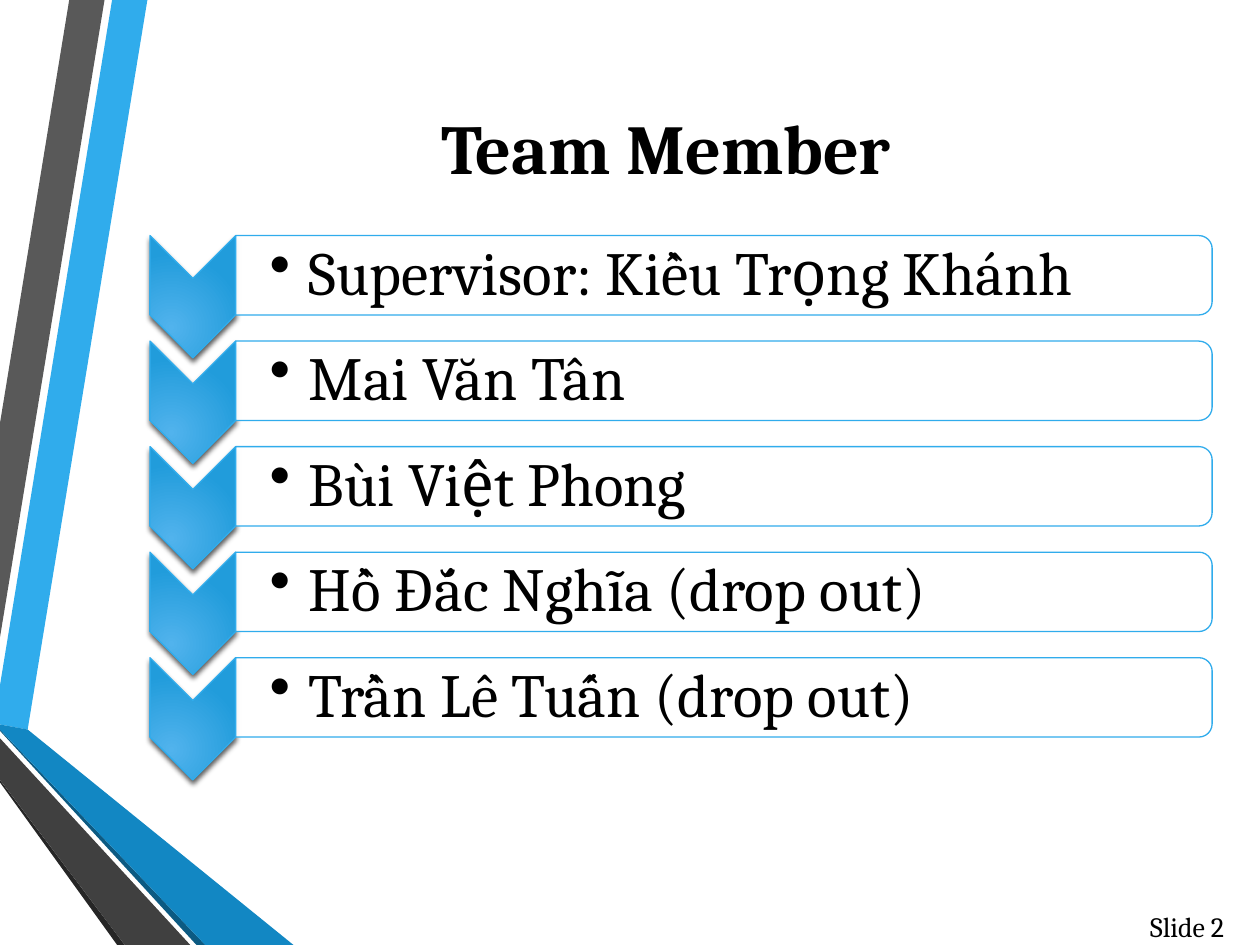
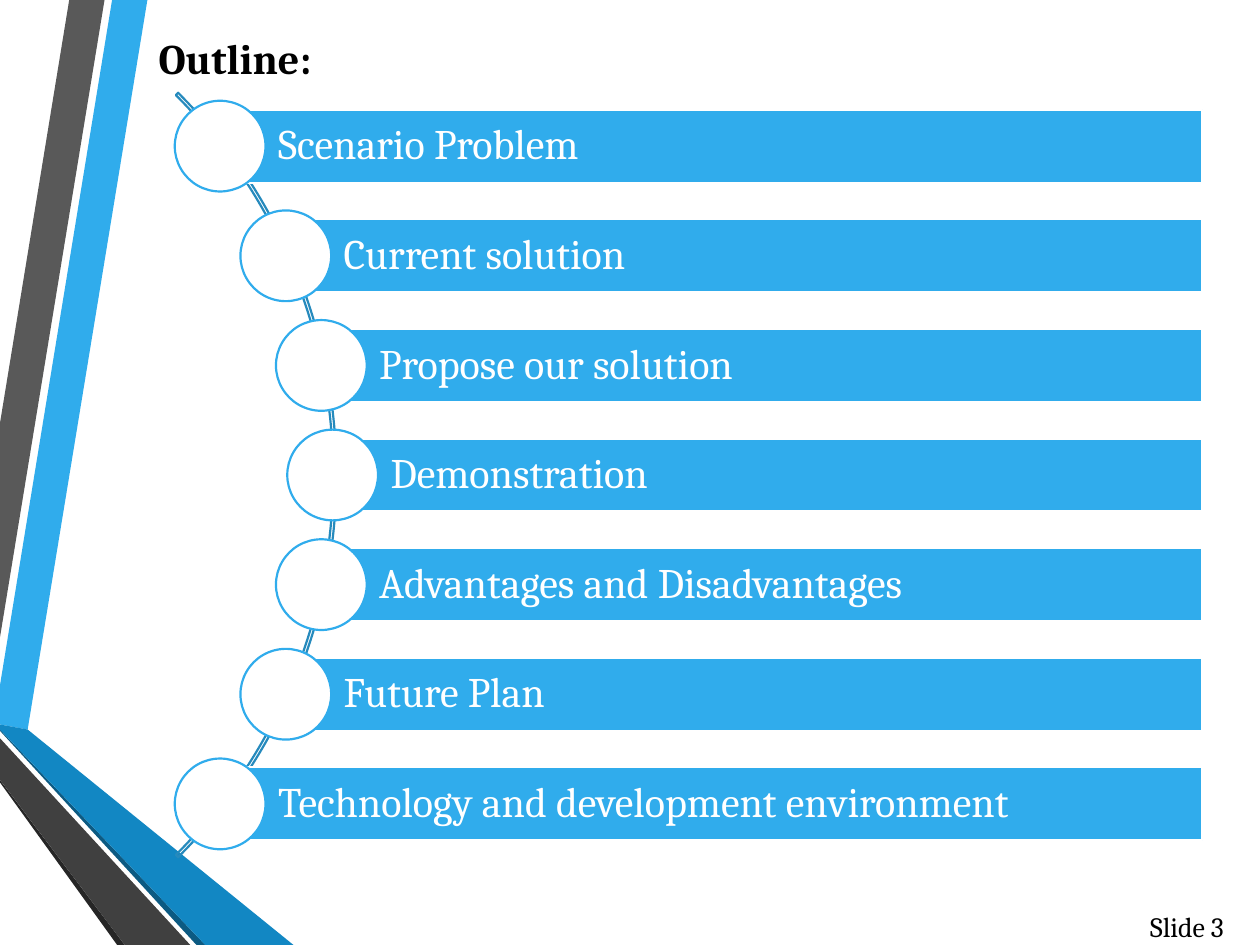
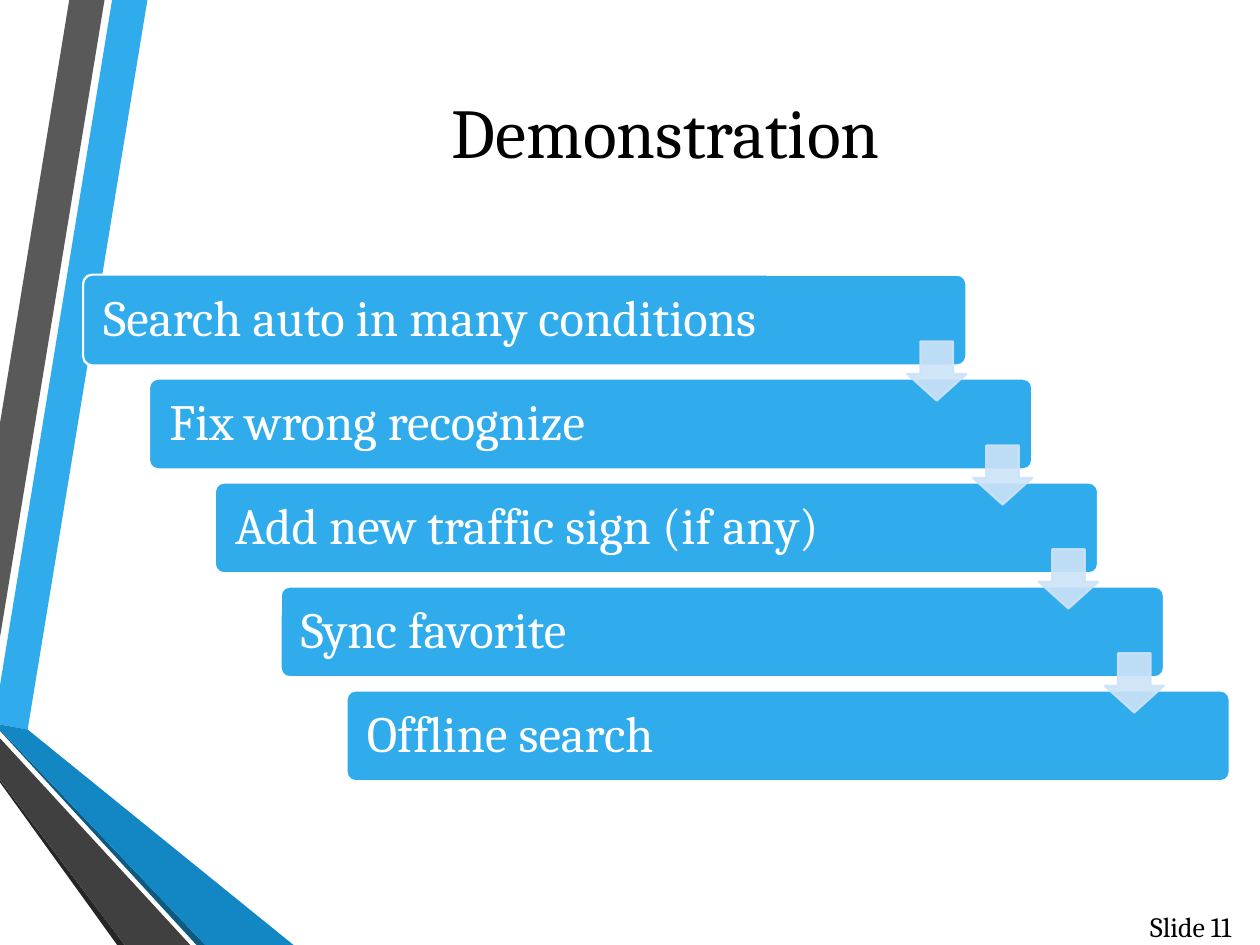
from math import sqrt

from lxml import etree
from pptx import Presentation
from pptx import util as u
from pptx.dml import color
from pptx.enum import shapes, text
from pptx.oxml import ns

FONT = "Cambria"
BLACK, WHITE = "000000", "FFFFFF"
BLUE, DEEP_BLUE, PALE_BLUE = "30ACEC", "268ABD", "CDE3F8"
CHEVRON_GRADIENT = ("51B3ED", "219CDB")

RIBBONS = [
    (BLUE, [(0, 5.44), (0, 5.75), (0.22, 5.79), (1.17, 0), (0.89, 0)]),
    ("595959", [(0.83, 0), (0.55, 0), (0, 3.36), (0, 5.06)]),
    ("262626", [(0, 6.19), (0, 6.21), (0.93, 7.5), (0.99, 7.5)]),
    ("0C5A82", [(0, 5.79), (0, 5.8), (1.56, 7.5), (1.63, 7.5)]),
    ("1287C3", [(0, 5.79), (1.63, 7.5), (2.33, 7.5), (0.22, 5.79), (0, 5.75)]),
    ("404040", [(0, 6.19), (0.99, 7.5), (1.51, 7.5), (0, 5.86)]),
]
MEMBERS = [
    "Supervisor: Kiều Trọng Khánh",
    "Mai Văn Tân",
    "Bùi Việt Phong",
    "Hồ Đắc Nghĩa (drop out)",
    "Trần Lê Tuấn (drop out)",
]
TOPICS = [
    "Scenario Problem",
    "Current solution",
    "Propose our solution",
    "Demonstration",
    "Advantages and Disadvantages",
    "Future Plan",
    "Technology and development environment",
]
DEMO_STEPS = [
    "Search auto in many conditions",
    "Fix wrong recognize",
    "Add new traffic sign (if any)",
    "Sync favorite",
    "Offline search",
]


def rgb(value):
    return color.RGBColor.from_string(value)


def add_xml(parent, tag, **attributes):
    return etree.SubElement(parent, ns.qn(tag), {key: str(value) for key, value in attributes.items()})


class Deck:
    def __init__(self):
        self.presentation = Presentation()
        self.presentation.slide_width = u.Inches(10)
        self.presentation.slide_height = u.Inches(7.5)
        self.slide = None

    def start_slide(self, number):
        self.slide = self.presentation.slides.add_slide(self.presentation.slide_layouts[6])
        for fill, points in RIBBONS:
            self.ribbon(fill, points)
        self.label(f"Slide {number}", (9.03, 7.15, 1.1, 0.4), 16)

    def ribbon(self, fill, points):
        corners = [(u.Inches(x), u.Inches(y)) for x, y in points]
        builder = self.slide.shapes.build_freeform(*corners[0])
        builder.add_line_segments(corners[1:], close=True)
        self.paint(builder.convert_to_shape(), fill)

    def paint(self, shape, fill=None, line=None, width=1.25, alpha=None):
        shape.shadow.inherit = False
        if fill:
            shape.fill.solid()
            shape.fill.fore_color.rgb = rgb(fill)
        else:
            shape.fill.background()
        if line:
            shape.line.color.rgb = rgb(line)
            shape.line.width = u.Pt(width)
        else:
            shape.line.fill.background()
        if alpha:
            for node in shape._element.spPr.iter(ns.qn("a:srgbClr")):
                if node.get("val") == fill:
                    add_xml(node, "a:alpha", val=alpha * 1000)

    def shape(self, kind, box, adjustments=(), turned=False, **style):
        left, top, width, height = box
        if turned:
            left, top = left + (width - height) / 2, top + (height - width) / 2
            width, height = height, width
        shape = self.slide.shapes.add_shape(kind, *map(u.Inches, (left, top, width, height)))
        shape.rotation = 90 if turned else 0
        for index, value in enumerate(adjustments):
            shape.adjustments[index] = value
        self.paint(shape, **style)
        return shape

    def chevron(self, box):
        shape = self.shape(shapes.MSO_SHAPE.CHEVRON, box, turned=True, line=BLUE, width=0.75)
        shape.fill.gradient()
        for stop, shade in zip(shape.fill.gradient_stops, CHEVRON_GRADIENT):
            stop.color.rgb = rgb(shade)
        properties = shape._element.spPr
        gradient = properties.find(ns.qn("a:gradFill"))
        gradient.remove(gradient.find(ns.qn("a:lin")))
        circle = add_xml(gradient, "a:path", path="circle")
        add_xml(circle, "a:fillToRect", l=50000, t=100000, r=100000, b=50000)
        effects = properties.find(ns.qn("a:effectLst"))
        shadow = add_xml(effects, "a:outerShdw", blurRad=u.Pt(3), dist=u.Pt(2), dir=5400000, rotWithShape=0)
        add_xml(add_xml(shadow, "a:srgbClr", val=BLACK), "a:alpha", val=64000)

    def set_text(self, shape, words, size, ink=BLACK, bold=False, align=text.PP_ALIGN.LEFT,
                 insets=(0.1, 0.05, 0.1, 0.05), spacing=None):
        frame = shape.text_frame
        frame.text = words
        frame.word_wrap = True
        frame.vertical_anchor = text.MSO_ANCHOR.MIDDLE
        frame.margin_left, frame.margin_top, frame.margin_right, frame.margin_bottom = map(u.Inches, insets)
        paragraph = frame.paragraphs[0]
        paragraph.alignment = align
        if spacing:
            paragraph.line_spacing = spacing
        font = paragraph.runs[0].font
        font.name, font.size, font.bold = FONT, u.Pt(size), bold
        font.color.rgb = rgb(ink)
        return paragraph

    def label(self, words, box, size, **style):
        return self.set_text(self.slide.shapes.add_textbox(*map(u.Inches, box)), words, size, **style)

    def title(self, words, top, bold=False):
        self.label(words, (1.07, top, 8.43, 1.27), 40, bold=bold, align=text.PP_ALIGN.CENTER)

    def bullet(self, words, box):
        paragraph = self.label(words, box, 35, insets=(0.27, 0.02, 0.02, 0.02), spacing=0.9)
        properties = paragraph._p.get_or_add_pPr()
        properties.set("marL", str(u.Inches(0.31)))
        properties.set("indent", str(u.Inches(-0.31)))
        add_xml(properties, "a:buChar", char="•")


def build_team(deck):
    deck.start_slide(2)
    deck.title("Team Member", 0.53, bold=True)
    row_step = 3.35 / 4
    for index, member in enumerate(MEMBERS):
        top = 1.87 + index * row_step
        deck.chevron((1.19, top, 0.68, 0.97))
        deck.shape(shapes.MSO_SHAPE.ROUND_2_SAME_RECTANGLE, (1.87, top, 7.75, 0.63), turned=True,
                   fill=WHITE, line=BLUE, width=0.75, alpha=90)
        deck.bullet(member, (1.87, top + 0.03, 7.72, 0.57))


def build_outline(deck):
    deck.start_slide(3)
    center_x, center_y, radius = -1.62, 3.77, 4.26
    arc_size, dot_size, bar_height, bar_right = 8.58, 0.72, 0.58, 9.54
    deck.shape(shapes.MSO_SHAPE.BLOCK_ARC,
               (center_x - arc_size / 2, center_y - arc_size / 2, arc_size, arc_size),
               adjustments=(189, 27, 0.003), line=DEEP_BLUE)
    for index, topic in enumerate(TOPICS):
        offset = (index - len(TOPICS) // 2) * 0.87
        x, y = center_x + sqrt(radius ** 2 - offset ** 2), center_y + offset
        bar = deck.shape(shapes.MSO_SHAPE.RECTANGLE, (x, y - bar_height / 2, bar_right - x, bar_height),
                         fill=BLUE, line=WHITE)
        deck.set_text(bar, topic, 24, ink=WHITE, insets=(0.46, 0.07, 0.07, 0.07), spacing=0.9)
        deck.shape(shapes.MSO_SHAPE.OVAL, (x - dot_size / 2, y - dot_size / 2, dot_size, dot_size),
                   fill=WHITE, line=BLUE)
    deck.label("Outline:", (1.16, 0.21, 2.55, 0.5), 24, bold=True)


def build_demonstration(deck):
    deck.start_slide(11)
    step_x, step_y = 2.09 / 4, 3.3 / 4
    for index, step in enumerate(DEMO_STEPS):
        bar = deck.shape(shapes.MSO_SHAPE.ROUNDED_RECTANGLE,
                         (0.66 + index * step_x, 2.18 + index * step_y, 7.01, 0.72),
                         adjustments=(0.1,), fill=BLUE, line=WHITE)
        deck.set_text(bar, step, 29, ink=WHITE, insets=(0.14, 0.14, 0.14, 0.14), spacing=0.9)
    for index in range(len(DEMO_STEPS) - 1):
        deck.shape(shapes.MSO_SHAPE.DOWN_ARROW,
                   (7.2 + index * step_x, 2.71 + index * step_y, 0.47, 0.47),
                   adjustments=(0.55, 0.45), fill=PALE_BLUE, line=PALE_BLUE, alpha=90)
    deck.title("Demonstration", 0.4)


def main():
    deck = Deck()
    build_team(deck)
    build_outline(deck)
    build_demonstration(deck)
    deck.presentation.save("out.pptx")


if __name__ == "__main__":
    main()
